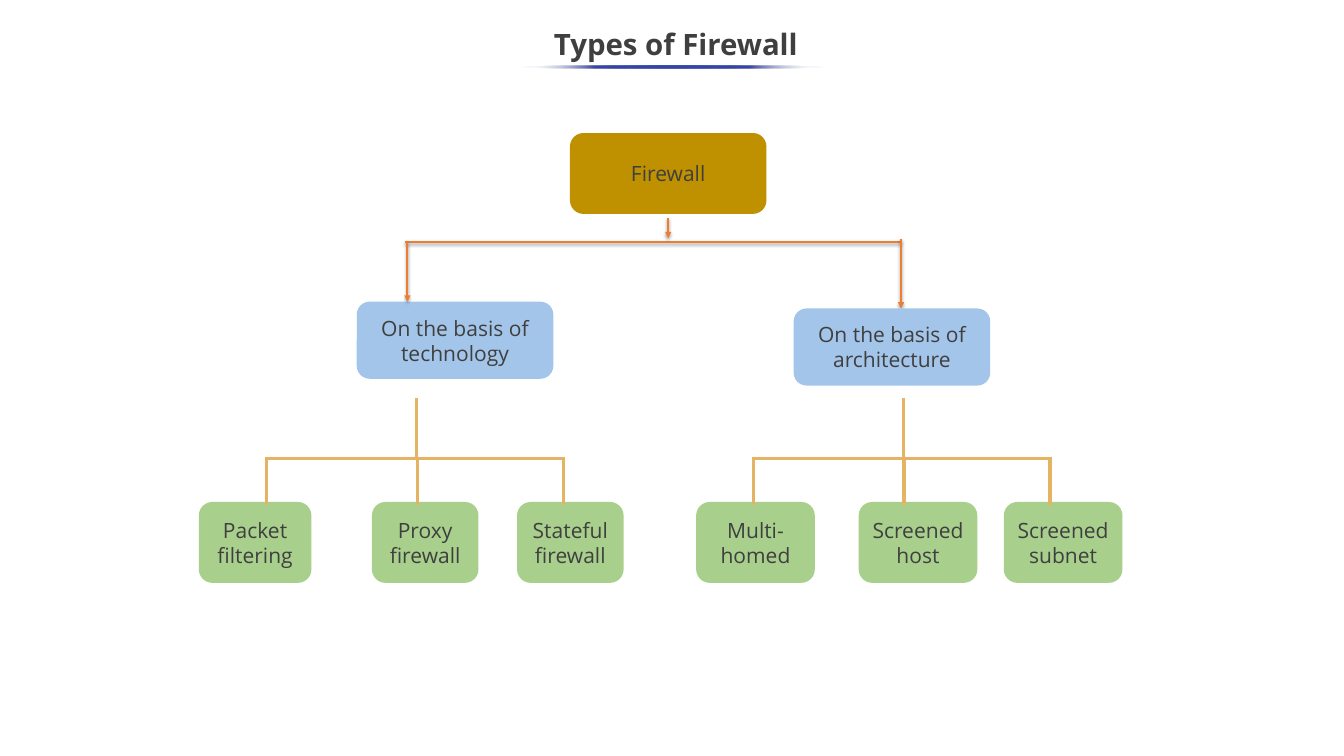
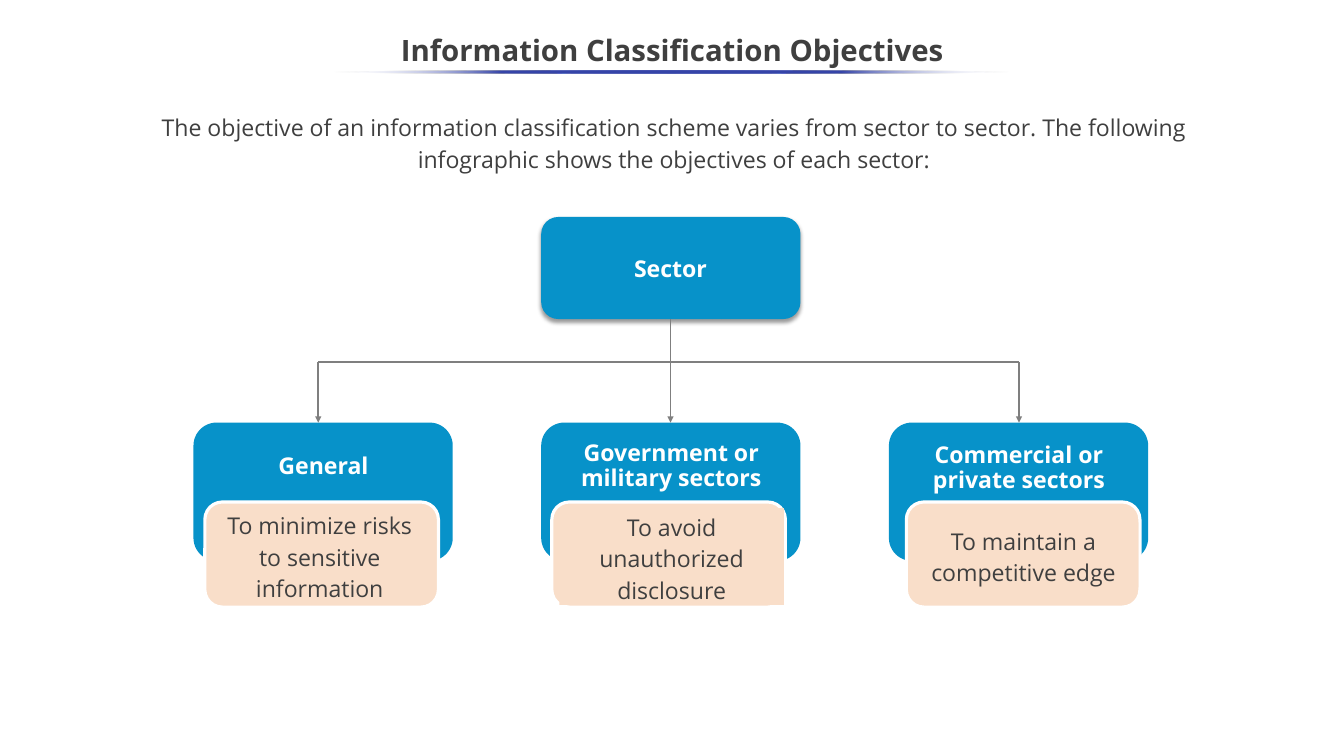
from lxml.etree import SubElement as Sub
from pptx import Presentation
from pptx.dml.color import RGBColor
from pptx.enum.shapes import MSO_CONNECTOR as Conn, MSO_SHAPE as Kind
from pptx.enum.text import MSO_ANCHOR as Anchor, MSO_AUTO_SIZE as Auto, PP_ALIGN as Align
from pptx.oxml.ns import qn
from pptx.util import Inches, Pt

FONT = "Open Sans"
DARK = RGBColor(0x3F, 0x3F, 0x3F)
WHITE = RGBColor(0xFF, 0xFF, 0xFF)
INDIGO = RGBColor(0x36, 0x45, 0xA9)
GOLD = RGBColor(0xBF, 0x90, 0x00)
SKY = RGBColor(0xA4, 0xC5, 0xEA)
GREEN = RGBColor(0xA8, 0xD0, 0x8C)
SAND = RGBColor(0xE4, 0xB3, 0x63)
ORANGE = RGBColor(0xED, 0x7D, 0x31)
BLUE = RGBColor(0x07, 0x92, 0xC9)
PEACH = RGBColor(0xF9, 0xDE, 0xC9)
GRAY = RGBColor(0x7F, 0x7F, 0x7F)
SOFT = (38, 3.1, 1.6)
DEEP = (40, 4, 3)


def write(shape, text, size, color=DARK, bold=False, space=1.0, inset=(0.1, 0.05),
          anchor=Anchor.MIDDLE):
    """Put centred, wrapped text into a shape."""
    frame = shape.text_frame
    frame.text = text
    frame.word_wrap = True
    frame.vertical_anchor = anchor
    frame.margin_left = frame.margin_right = Inches(inset[0])
    frame.margin_top = frame.margin_bottom = Inches(inset[1])
    para = frame.paragraphs[0]
    para.alignment = Align.CENTER
    para.line_spacing = space
    font = para.runs[0].font
    font.name, font.size, font.bold = FONT, Pt(size), bold
    font.color.rgb = color


def cast(effects, shade):
    """Add a downward shadow given as opacity, blur and distance."""
    alpha, blur, dist = shade
    outer = Sub(effects, qn("a:outerShdw"), blurRad=str(Pt(blur)), dist=str(Pt(dist)),
                dir="5400000", rotWithShape="0")
    color = Sub(outer, qn("a:srgbClr"), val="000000")
    Sub(color, qn("a:alpha"), val=str(alpha * 1000))


def block(slide, area, fill, kind=Kind.ROUNDED_RECTANGLE, edge=None, shade=None):
    """Draw a filled shape with an optional edge and shadow."""
    shape = slide.shapes.add_shape(kind, *map(Inches, area))
    shape.shadow.inherit = False
    shape.fill.solid()
    shape.fill.fore_color.rgb = fill
    if edge:
        shape.line.color.rgb = edge
        shape.line.width = Pt(3)
    else:
        shape.line.fill.background()
    if shade:
        cast(shape._element.spPr.find(qn("a:effectLst")), shade)
    return shape


def node(slide, area, fill, text):
    """Draw a rounded box with its text."""
    write(block(slide, area, fill), text, 20)


def label(slide, area, fill, text, **style):
    """Draw a tight text panel that grows with its text."""
    panel = block(slide, area, fill, Kind.RECTANGLE)
    write(panel, text, 22, inset=(0.01, 0.01), **style)
    panel.text_frame.auto_size = Auto.SHAPE_TO_FIT_TEXT


def line(slide, start, end, color, width, arrow=False, shade=None):
    """Draw a straight line with an optional arrowhead and shadow."""
    link = slide.shapes.add_connector(Conn.STRAIGHT, *map(Inches, (*start, *end)))
    link.line.color.rgb = color
    link.line.width = Pt(width)
    if arrow:
        Sub(link.line._get_or_add_ln(), qn("a:tailEnd"), type="triangle")
    effects = Sub(link._element.spPr, qn("a:effectLst"))
    if shade:
        cast(effects, shade)


def note(slide, area, text, size, **style):
    """Add a plain text box."""
    write(slide.shapes.add_textbox(*map(Inches, area)), text, size, **style)


def rule(slide, left, top, width):
    """Draw the title underline that fades out at both ends."""
    shape = block(slide, (left, top, width, 0.04), INDIGO, Kind.OVAL)
    shape.fill.gradient()
    shape.fill.gradient_angle = 180
    stops = shape._element.spPr.find(qn("a:gradFill")).find(qn("a:gsLst"))
    for old in list(stops):
        stops.remove(old)
    for spot in range(0, 101, 25):
        end = spot in (0, 100)
        stop = Sub(stops, qn("a:gs"), pos=str(spot * 1000))
        color = Sub(stop, qn("a:srgbClr"), val=str(WHITE if end else INDIGO))
        if end:
            Sub(color, qn("a:alpha"), val="0")


def head(slide, text, left, top, inset, bar):
    """Add the slide title and its underline."""
    note(slide, (left, top, 17.8, 0.75), text, 28, bold=True, space=0.9, inset=(inset, 0.05))
    rule(slide, *bar)


def branch(slide, left, leaves):
    """Draw three leaf boxes and the fork above them."""
    for x, width, text in leaves:
        node(slide, (x, 6.64, width, 1.07), GREEN, text)
    drops = [left, left + 1.99, left + 3.92]
    line(slide, (drops[-1], 6.06), (left, 6.06), SAND, 3)
    for x in drops:
        line(slide, (x, 6.04), (x, 6.68), SAND, 3)
    stem = left + 1.98
    line(slide, (stem, 5.27), (stem, 6.06), SAND, 3)


def types(slide):
    """Build the tree of firewall types."""
    head(slide, "Types of Firewall", 0.04, 0.23, 0.05, (6.86, 0.87, 4.06))
    branch(slide, 3.53, [(2.63, 1.49, "Packet filtering"), (4.92, 1.41, "Proxy firewall"),
                         (6.84, 1.41, "Stateful firewall")])
    branch(slide, 9.97, [(9.21, 1.57, "Multi-homed"), (11.36, 1.57, "Screened host"),
                         (13.28, 1.57, "Screened subnet")])
    node(slide, (4.72, 3.99, 2.6, 1.02), SKY, "On the basis of technology")
    line(slide, (11.92, 3.2), (5.36, 3.2), ORANGE, 2, shade=SOFT)
    for x, top, foot in [(5.39, 3.2, 3.99), (11.92, 3.16, 4.08), (8.84, 2.88, 3.15)]:
        line(slide, (x, top), (x, foot), ORANGE, 2, True, SOFT)
    node(slide, (7.54, 1.76, 2.6, 1.07), GOLD, "Firewall")
    node(slide, (10.5, 4.08, 2.6, 1.02), SKY, "On the basis of architecture")


def sector(slide, left, name, aim):
    """Draw a sector card with its name and objective panel."""
    top, height, text = name
    block(slide, (left, 5.59, 3.43, 1.83), BLUE)
    label(slide, (left + 0.1, top, 3.24, height), BLUE, text,
          color=WHITE, bold=True, space=0.9)
    card, area, text = aim
    block(slide, (card, 6.64, 3.09, 1.39), PEACH, edge=WHITE)
    label(slide, area, PEACH, text, space=1.14)


def goals(slide):
    """Build the chart of classification objectives."""
    head(slide, "Information Classification Objectives", -0.01, 0.31, 0.1, (4.4, 0.93, 8.97))
    note(slide, (1.44, 1.4, 14.95, 1.04),
         "The objective of an information classification scheme varies from sector to sector. "
         "The following infographic shows the objectives of each sector:",
         22, space=1.14, inset=(0.05, 0.05), anchor=Anchor.TOP)
    cards = [
        ((6, 0.35, "General"),
         (2.71, (2.88, 6.7, 2.7, 1.28), "To minimize risks to sensitive information")),
        ((5.83, 0.68, "Government or military sectors"),
         (7.3, (7.4, 6.72, 2.97, 1.28), "To avoid unauthorized disclosure")),
        ((5.86, 0.68, "Commercial or private sectors"),
         (11.99, (12.02, 6.91, 3.04, 0.86), "To maintain a competitive edge")),
    ]
    for i, (name, aim) in enumerate(cards):
        sector(slide, 2.56 + 4.6 * i, name, aim)
    block(slide, (7.16, 2.87, 3.43, 1.35), BLUE, shade=DEEP)
    label(slide, (7.23, 3.35, 3.28, 0.39), BLUE, "Sector", color=WHITE, bold=True)
    for x, top in [(4.21, 4.79), (8.87, 4.22), (13.48, 4.79)]:
        line(slide, (x, top), (x, 5.59), GRAY, 1.5, True)
    line(slide, (4.21, 4.79), (13.48, 4.79), GRAY, 1.5)


def main():
    """Build both slides and save the deck."""
    deck = Presentation()
    deck.slide_width, deck.slide_height = Inches(17.78), Inches(10)
    for build in (types, goals):
        build(deck.slides.add_slide(deck.slide_layouts[6]))
    deck.save("out.pptx")


if __name__ == "__main__":
    main()
